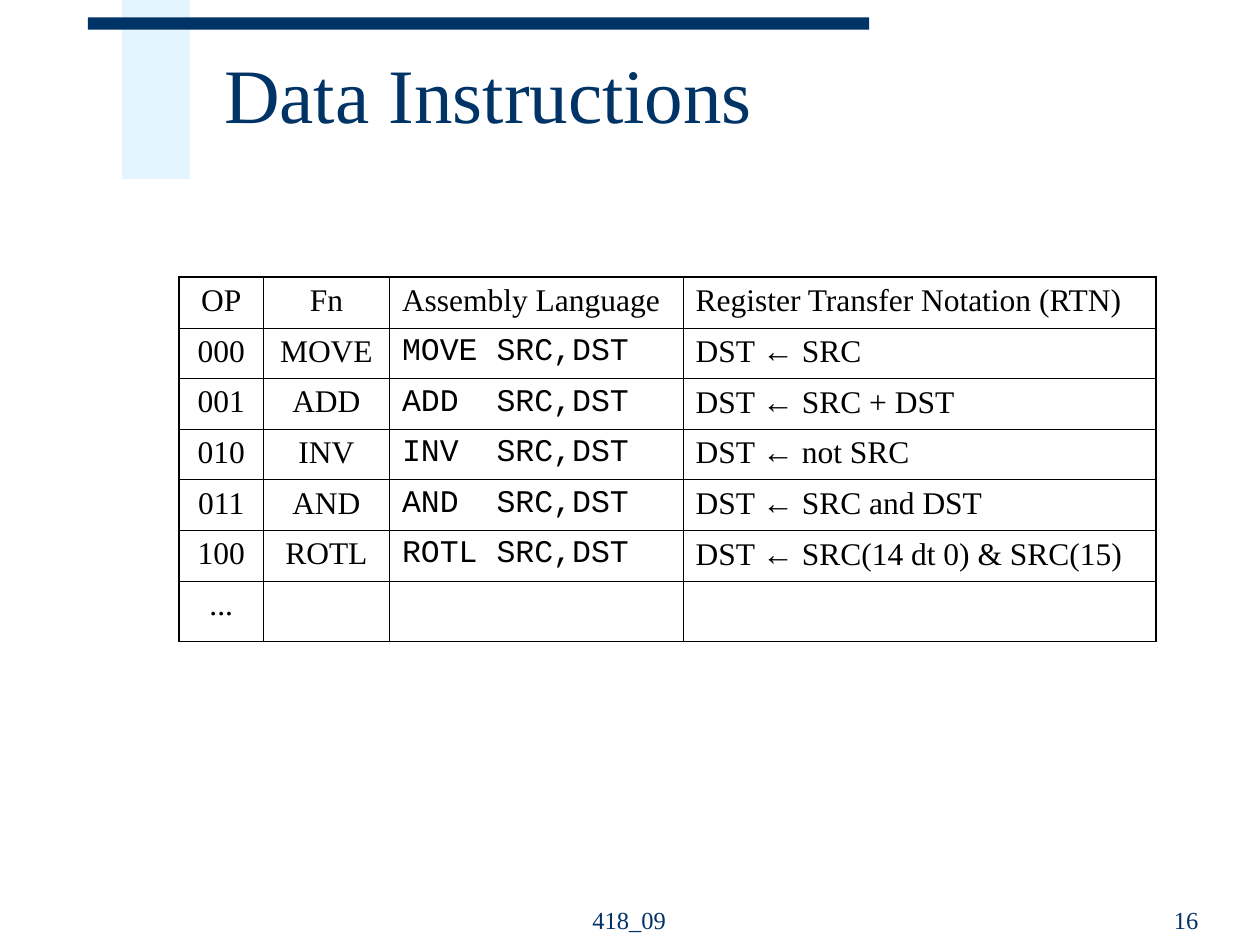
from lxml.etree import SubElement
from pptx import Presentation
from pptx.dml.color import RGBColor
from pptx.enum.shapes import MSO_SHAPE
from pptx.enum.text import MSO_ANCHOR, PP_ALIGN
from pptx.oxml.ns import qn
from pptx.util import Cm, Pt

COLORS = {"navy": "003366", "sky": "CCECFF", "ink": "000000"}
SERIF, MONO, ARROW_FONT = "Times New Roman", "Courier New", "Arial"
ARROW = "←"
THIN, THICK = Pt(0.45), Pt(1.08)

HEADINGS = ("OP", "Fn", "Assembly Language", "Register Transfer Notation (RTN)")
TRANSFERS = {
    "MOVE": "SRC",
    "ADD": "SRC + DST",
    "INV": "not SRC",
    "AND": "SRC and DST",
    "ROTL": "SRC(14 dt 0) & SRC(15)",
}
COLUMN_WIDTHS = (1.7, 2.54, 5.92, 9.53)
ROW_HEIGHT, LAST_ROW_HEIGHT = 1.02, 1.21


def style_run(run, size, color, font=SERIF):
    """Set the font, size and colour of a run."""
    run.font.name = font
    run.font.size = Pt(size)
    run.font.color.rgb = RGBColor.from_string(COLORS[color])


def add_bar(slide, left, top, width, height, color):
    """Draw a plain rectangle and return its fill."""
    bar = slide.shapes.add_shape(
        MSO_SHAPE.RECTANGLE, Cm(left), Cm(top), Cm(width), Cm(height))
    bar.shadow.inherit = False
    bar.fill.solid()
    bar.fill.fore_color.rgb = RGBColor.from_string(COLORS[color])
    bar.line.fill.background()
    return bar.fill


def add_decoration(slide, left, top):
    """Place the pale upright band and the dark rule across it."""
    band = add_bar(slide, left + 0.69, top, 1.37, 3.61, "sky")
    color_node = band._xPr.find(qn("a:solidFill"))[0]
    SubElement(color_node, qn("a:alpha"), val="50000")
    add_bar(slide, left, top + 0.35, 15.75, 0.25, "navy")


def add_label(slide, left, top, width, height, wording, size, align, anchor):
    """Place one line of navy text in a box and return its paragraph."""
    label = slide.shapes.add_textbox(Cm(left), Cm(top), Cm(width), Cm(height))
    frame = label.text_frame
    frame.word_wrap = True
    frame.vertical_anchor = anchor
    frame.text = wording
    line = frame.paragraphs[0]
    line.alignment = align
    style_run(line.runs[0], size, "navy")
    return line


def add_footer(slide, top, height):
    """Place the course label and the page number."""
    add_label(slide, 10.36, top, 4.65, height, "418_09", 14,
              PP_ALIGN.CENTER, MSO_ANCHOR.BOTTOM)
    add_label(slide, 18.31, top, 6.1, height, "16", 14,
              PP_ALIGN.RIGHT, MSO_ANCHOR.BOTTOM)


def set_borders(cell, widths):
    """Draw the left, right, top and bottom borders of a cell."""
    properties = cell._tc.get_or_add_tcPr()
    for side, width in zip("LRTB", widths):
        border = SubElement(properties, qn(f"a:ln{side}"), w=str(int(width)))
        fill = SubElement(border, qn("a:solidFill"))
        SubElement(fill, qn("a:srgbClr"), val=COLORS["ink"])


def fill_cell(cell, wording, font, align):
    """Write a cell, giving the arrow its own font."""
    line = cell.text_frame.paragraphs[0]
    line.alignment = align
    line.space_before = Pt(4.5)
    for part in filter(None, wording.partition(ARROW)):
        run = line.add_run()
        run.text = part
        style_run(run, 18, "ink", ARROW_FONT if part == ARROW else font)


def instruction_rows():
    """List the table rows with opcodes counted in binary."""
    instructions = [
        (f"{code:03b}", name, f"{name:<5}SRC,DST", f"DST {ARROW} {source}")
        for code, (name, source) in enumerate(TRANSFERS.items())]
    return [HEADINGS, *instructions, ("...", "", "", "")]


def add_instruction_table(slide, left, top):
    """Build the table of data instructions."""
    rows = instruction_rows()
    last_row, last_column = len(rows) - 1, len(HEADINGS) - 1
    table = slide.shapes.add_table(
        len(rows), len(HEADINGS), Cm(left), Cm(top),
        Cm(sum(COLUMN_WIDTHS)), Cm(ROW_HEIGHT * last_row + LAST_ROW_HEIGHT)).table
    table.first_row = table.horz_banding = False
    for column, width in zip(table.columns, COLUMN_WIDTHS):
        column.width = Cm(width)
    for r, row in enumerate(rows):
        table.rows[r].height = Cm(LAST_ROW_HEIGHT if r == last_row else ROW_HEIGHT)
        for c, wording in enumerate(row):
            cell = table.cell(r, c)
            set_borders(cell, (THICK if c == 0 else THIN,
                               THICK if c == last_column else THIN,
                               THICK if r == 0 else THIN,
                               THIN))
            cell.fill.background()
            fill_cell(cell, wording, MONO if c == 2 and r > 0 else SERIF,
                      PP_ALIGN.CENTER if c < 2 else PP_ALIGN.LEFT)


def main():
    """Build the slide and save it."""
    deck = Presentation()
    deck.slide_width, deck.slide_height = Cm(25.4), Cm(19.05)
    slide = deck.slides.add_slide(deck.slide_layouts[6])
    add_decoration(slide, 1.77, 0)
    title = add_label(slide, 4.27, 0.43, 20.5, 3.18, "Data Instructions", 44,
                      PP_ALIGN.LEFT, MSO_ANCHOR.MIDDLE)
    title.line_spacing = 0.85
    add_footer(slide, 17.7, 1.27)
    add_instruction_table(slide, 3.61, 5.59)
    deck.save("out.pptx")


if __name__ == "__main__":
    main()
